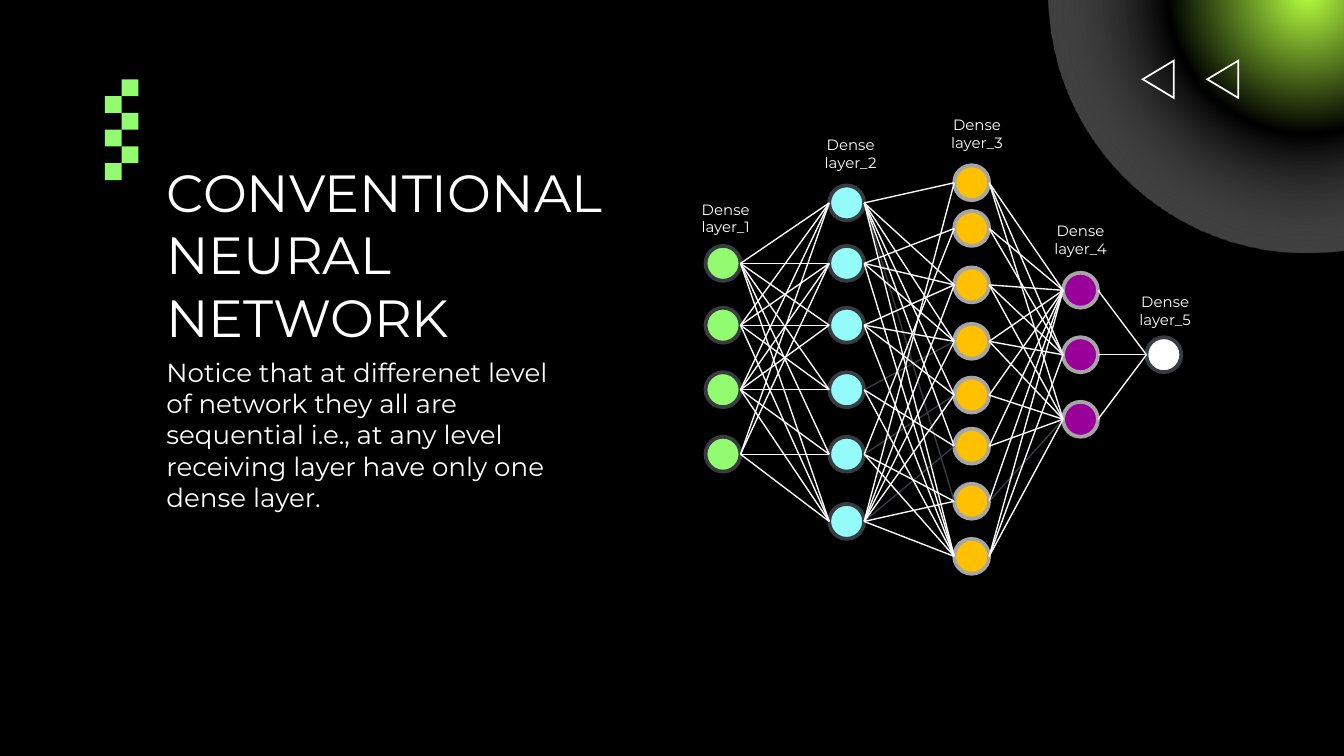
from lxml import etree
from pptx import Presentation
from pptx.dml.color import RGBColor
from pptx.enum.shapes import MSO_CONNECTOR, MSO_SHAPE
from pptx.enum.text import MSO_ANCHOR, PP_ALIGN
from pptx.oxml import parse_xml
from pptx.oxml.ns import qn
from pptx.util import Inches, Pt

OVAL, RECT = MSO_SHAPE.OVAL, MSO_SHAPE.RECTANGLE
LINE = MSO_CONNECTOR.STRAIGHT
TOP, MIDDLE = MSO_ANCHOR.TOP, MSO_ANCHOR.MIDDLE
LEFT, CENTER = PP_ALIGN.LEFT, PP_ALIGN.CENTER

COLS, ROWS = 100, 56.25  # square grid cells over the slide
CELL = 0.1
NODE = 2.6
FONT = "Montserrat"
WHITE, BLACK, GREEN = "FFFFFF", "000000", "93FB70"
DARK, GREY, PALE = "383C41", "A6A6A6", "F9F9F9"

# Each layer: centre column, centre rows, fill, rim, label left and top
LAYERS = [
    (53.8, [19.6, 24.2, 29, 33.8], GREEN, DARK, 49.3, 14.4),
    (63, [15.1, 19.6, 24.2, 29, 33.8, 38.8], "93FBF9", DARK, 58.6, 9.6),
    (72.3, [13.6, 17, 21.2, 25.4, 29.4, 33.2, 37.3, 41.4],
     "FFC000", GREY, 68, 8.1),
    (80.4, [21.6, 26.4, 31.2], "990099", GREY, 75.7, 16),
    (86.6, [26.4], WHITE, DARK, 82, 21.3),
]

# For each gap between layers: the targets of every node, by index
LINKS = [
    ["012345", "01235", "012345", "0145"],
    ["0234567", "1237", "2347", "357", "1467", "0234567"],
    ["012", "01", "012", "012", "02", "02", "02", "012"],
    ["0", "0", "0"],
]
DIM = {(1, 0, 6), (1, 3, 3), (1, 4, 4), (1, 5, 5), (2, 6, 2)}

GLOW = """
<a:gradFill xmlns:a="http://schemas.openxmlformats.org/drawingml/2006/main">
  <a:gsLst>
    <a:gs pos="0"><a:srgbClr val="B6FF40"/></a:gs>
    <a:gs pos="38000"><a:srgbClr val="000000"/></a:gs>
    <a:gs pos="100000"><a:srgbClr val="FFFFFF"><a:alpha val="0"/></a:srgbClr></a:gs>
  </a:gsLst>
  <a:path path="circle"><a:fillToRect l="50000" t="50000" r="50000" b="50000"/></a:path>
</a:gradFill>"""


def grid(*cells):
    return [Inches(n * CELL) for n in cells]


def tint(color, code):
    color.rgb = RGBColor.from_string(code)


def paint(shape, fill, rim=None):
    shape.shadow.inherit = False
    shape.fill.solid()
    tint(shape.fill.fore_color, fill)
    if rim:
        tint(shape.line.color, rim)
        shape.line.width = Pt(2)
    else:
        shape.line.fill.background()


def block(slide, kind, x, y, w, h, fill, rim=None):
    shape = slide.shapes.add_shape(kind, *grid(x, y, w, h))
    paint(shape, fill, rim)
    return shape


def glow(slide):
    shape = block(slide, OVAL, 78, -19.7, 38.5, 38.5, BLACK)
    solid = shape._element.spPr.find(qn("a:solidFill"))
    solid.getparent().replace(solid, parse_xml(GLOW))


def arrow(slide, x, y):
    """Hollow triangle that points left, made of two contours."""
    outer = [(2.5, 0), (0, 1.5), (2.5, 3)]
    inner = [(2.37, 0.23), (0.25, 1.5), (2.37, 2.77)]
    pen = None
    for ring in (outer, inner):
        dots = [grid(x + dx, y + dy) for dx, dy in ring]
        if pen is None:
            pen = slide.shapes.build_freeform(*dots[0])
        else:
            pen.move_to(*dots[0])
        pen.add_line_segments(dots[1:], close=True)
    paint(pen.convert_to_shape(), WHITE)


def write(slide, text, x, y, w, h, size, inset, anchor=TOP, align=LEFT):
    frame = slide.shapes.add_textbox(*grid(x, y, w, h)).text_frame
    frame.word_wrap = True
    frame.vertical_anchor = anchor
    frame.margin_top = frame.margin_bottom = Inches(inset)
    par = frame.paragraphs[0]
    par.text = text
    par.alignment = align
    par.font.size = Pt(size)
    par.font.name = FONT
    tint(par.font.color, WHITE)


def link(slide, x1, y1, x2, y2, code):
    wire = slide.shapes.add_connector(LINE, *grid(x1, y1, x2, y2))
    tint(wire.line.color, code)
    wire.line.width = Pt(0.75)
    etree.SubElement(wire._element.spPr, qn("a:effectLst"))


def wires(slide, gap):
    x1, rows1 = LAYERS[gap][:2]
    x2, rows2 = LAYERS[gap + 1][:2]
    pairs = [(gap, a, int(b)) for a, ends in enumerate(LINKS[gap])
             for b in ends]
    # Dim links come first, so bright ones lie over them
    for pair in sorted(pairs, key=lambda p: p not in DIM):
        link(slide, x1 + NODE / 2, rows1[pair[1]],
             x2 - NODE / 2, rows2[pair[2]], DARK if pair in DIM else PALE)


def main():
    deck = Presentation()
    deck.slide_width, deck.slide_height = grid(COLS, ROWS)
    slide = deck.slides.add_slide(deck.slide_layouts[6])
    slide.background.fill.solid()
    tint(slide.background.fill.fore_color, BLACK)

    # Corner glow and arrows
    glow(slide)
    for x in (84.9, 89.7):
        arrow(slide, x, 4.4)

    # Checkered strip
    side = 1.25
    for row in range(6):
        col = (row + 1) % 2
        block(slide, RECT, 7.8 + col * side, 5.9 + row * side,
              side, side, GREEN)

    # Title and note
    write(slide, "CONVENTIONAL NEURAL NETWORK",
          11.4, 12.3, 37.5, 13.2, 28, 0.1, anchor=MIDDLE)
    write(slide, "Notice that at differenet level of network they all are "
          "sequential i.e., at any level receiving layer have only one "
          "dense layer.", 11.4, 25.5, 32.4, 12.7, 14, 0.1)

    # Network: nodes, links, labels
    for x, rows, fill, rim, *_ in LAYERS:
        for y in rows:
            block(slide, OVAL, x - NODE / 2, y - NODE / 2,
                  NODE, NODE, fill, rim)
    for gap in range(len(LINKS)):
        wires(slide, gap)
    for num, (*_, left, top) in enumerate(LAYERS, 1):
        write(slide, f"Dense layer_{num}", left, top, 9.4, 3.7, 8, 0.05,
              align=CENTER)

    deck.save("out.pptx")


if __name__ == "__main__":
    main()
